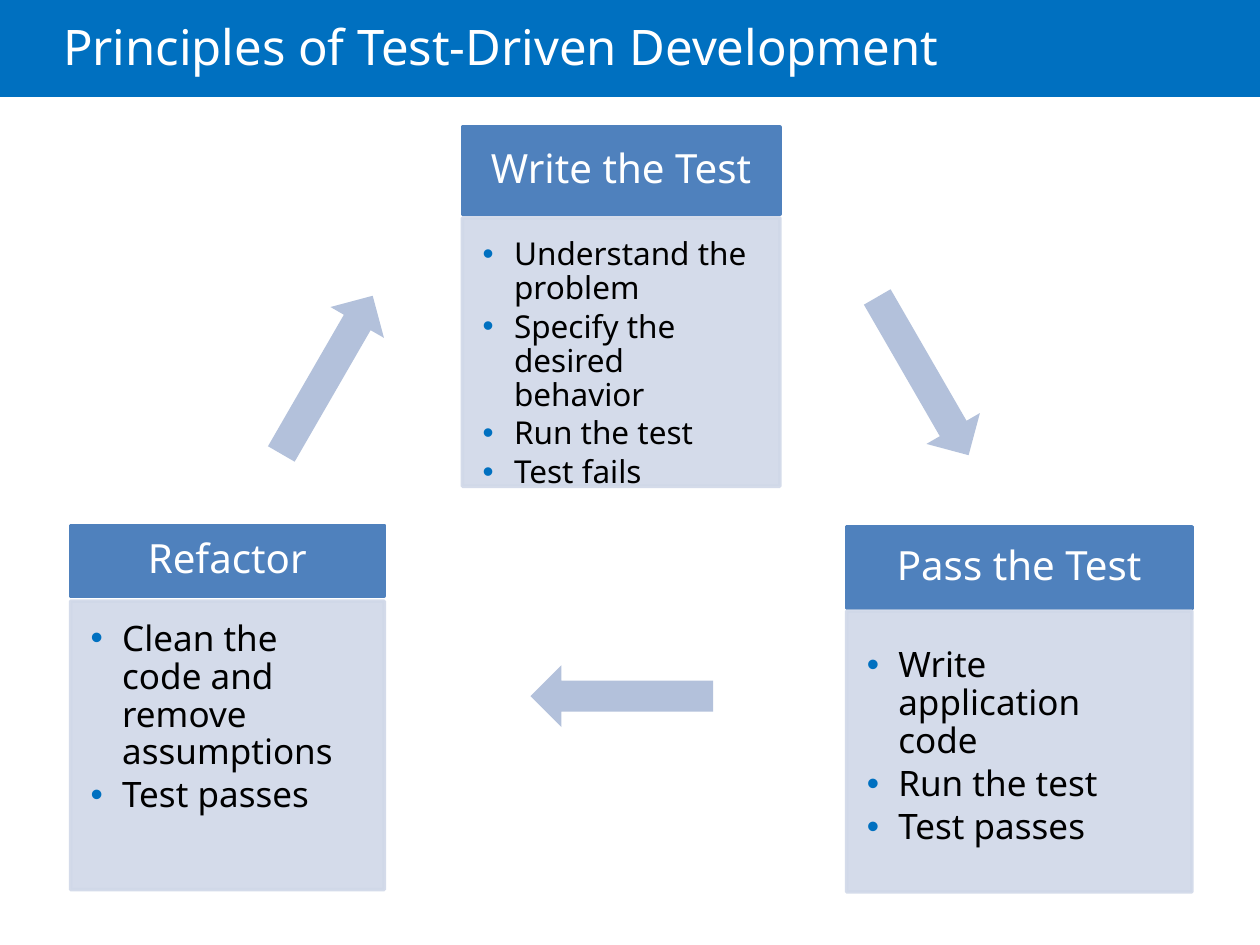
from dataclasses import dataclass

from lxml import etree
from pptx import Presentation
from pptx.dml.color import RGBColor as RGB
from pptx.enum.shapes import MSO_SHAPE as SHAPE
from pptx.enum.text import MSO_ANCHOR as ANCHOR, MSO_AUTO_SIZE as AUTOSIZE, PP_ALIGN as ALIGN
from pptx.oxml.ns import qn
from pptx.util import Inches, Pt


@dataclass(frozen=True)
class Theme:
    """Colours, font and type sizes of the slide."""
    font: str = "Noto Sans"
    accent: str = "0070C0"
    head: str = "4F81BD"
    panel: str = "D0D8E8"
    arrow: str = "B3C1DB"
    light: str = "FFFFFF"
    dark: str = "000000"
    title_size: int = 28
    head_size: int = 23


T = Theme()

# head box, head height, panel top and height, text drop, text size, bullets
CARDS = [
    ("Write the Test", (3.67, 1.01, 2.52, 0.69), (1.73, 2.13), 0, 18,
     ["Understand the problem", "Specify the desired behavior", "Run the test", "Test fails"]),
    ("Pass the Test", (6.72, 4.18, 2.74, 0.65), (4.85, 2.23), 0.13, 20,
     ["Write application code", "Run the test", "Test passes"]),
    ("Refactor", (0.56, 4.17, 2.49, 0.56), (4.77, 2.29), 0, 20,
     ["Clean the code and remove assumptions", "Test passes"]),
]
ARROWS = [(6.6, 2.74, 240), (4.21, 5.28, 0), (1.87, 2.73, 120)]


def add_bullet(p):
    """Give a paragraph a hanging, coloured round bullet."""
    pPr = p._p.get_or_add_pPr()
    pPr.set("marL", str(Inches(0.25)))
    pPr.set("indent", str(-Inches(0.25)))
    clr = etree.SubElement(pPr, qn("a:buClr"))
    etree.SubElement(clr, qn("a:srgbClr"), val=T.accent)
    etree.SubElement(pPr, qn("a:buFont"), typeface="Arial")
    etree.SubElement(pPr, qn("a:buChar"), char="•")


def set_text(sp, lines, *, size, color, insets, align=ALIGN.LEFT,
             anchor=ANCHOR.MIDDLE, spacing=0.9, after=0.0, bullets=False):
    """Write one paragraph per line into a shape; after is a share of the size."""
    tf = sp.text_frame
    tf.word_wrap = True
    tf.auto_size = AUTOSIZE.NONE
    tf.vertical_anchor = anchor
    tf.margin_left, tf.margin_top, tf.margin_right, tf.margin_bottom = map(Inches, insets)
    for i, line in enumerate(lines):
        p = tf.paragraphs[0] if i == 0 else tf.add_paragraph()
        p.alignment = align
        p.line_spacing = spacing
        p.space_before = Pt(0)
        p.space_after = Pt(round(size * after, 1))
        if bullets:
            p.level = 1
            add_bullet(p)
        r = p.add_run()
        r.text = line
        r.font.name = T.font
        r.font.size = Pt(size)
        r.font.color.rgb = RGB.from_string(color)


def add_block(s, kind, box, fill, *, outlined=False, alpha=None):
    """Add a flat preset shape, optionally outlined in its fill colour."""
    sp = s.shapes.add_shape(kind, *map(Inches, box))
    sp.shadow.inherit = False
    sp.fill.solid()
    sp.fill.fore_color.rgb = RGB.from_string(fill)
    if outlined:
        sp.line.color.rgb = RGB.from_string(fill)
        sp.line.width = Pt(2)
    else:
        sp.line.fill.background()
    if alpha:
        for clr in sp._element.spPr.iter(qn("a:srgbClr")):
            etree.SubElement(clr, qn("a:alpha"), val=str(alpha * 1000))
    return sp


def add_title(s, box, text):
    """Draw the title band behind the title placeholder."""
    x, y, w, h = box
    band = add_block(s, SHAPE.RECTANGLE, box, T.accent)
    title = s.shapes.title
    title._element.addprevious(band._element)
    title.left, title.top = Inches(x + 0.5), Inches(y)
    title.width, title.height = Inches(w - 1.5), Inches(h + 0.04)
    set_text(title, [text], size=T.title_size, color=T.light,
             insets=(0, 0.05, 0.1, 0.05), spacing=0.85)


def add_card(s, box, panel, heading, lines, *, size, drop):
    """Draw a heading box with its bulleted panel below."""
    x, _, w, _ = box
    top, height = panel
    head = add_block(s, SHAPE.RECTANGLE, box, T.head, outlined=True)
    set_text(head, [heading], size=T.head_size, color=T.light,
             insets=(0.21, 0.12, 0.21, 0.12), align=ALIGN.CENTER)
    body = add_block(s, SHAPE.RECTANGLE, (x, top, w, height), T.panel,
                     outlined=True, alpha=90)
    set_text(body, lines, size=size, color=T.dark, anchor=ANCHOR.TOP,
             insets=(0.16, 0.16 + drop, 0.21, 0.24), after=0.15, bullets=True)


def add_arrow(s, x, y, angle):
    """Draw one arrow of the cycle."""
    arrow = add_block(s, SHAPE.LEFT_ARROW, (x, y, 1.45, 0.49), T.arrow)
    arrow.rotation = angle


def build_cycle_slide(prs):
    """Build the slide with the three-step cycle."""
    s = prs.slides.add_slide(prs.slide_layouts[5])
    add_title(s, (0, 0, 10, 0.77), "Principles of Test-Driven Development")
    for heading, box, panel, drop, size, lines in CARDS:
        add_card(s, box, panel, heading, lines, size=size, drop=drop)
    for arrow in ARROWS:
        add_arrow(s, *arrow)


prs = Presentation()
prs.slide_width, prs.slide_height = Inches(10), Inches(7.5)
build_cycle_slide(prs)
prs.save("out.pptx")
